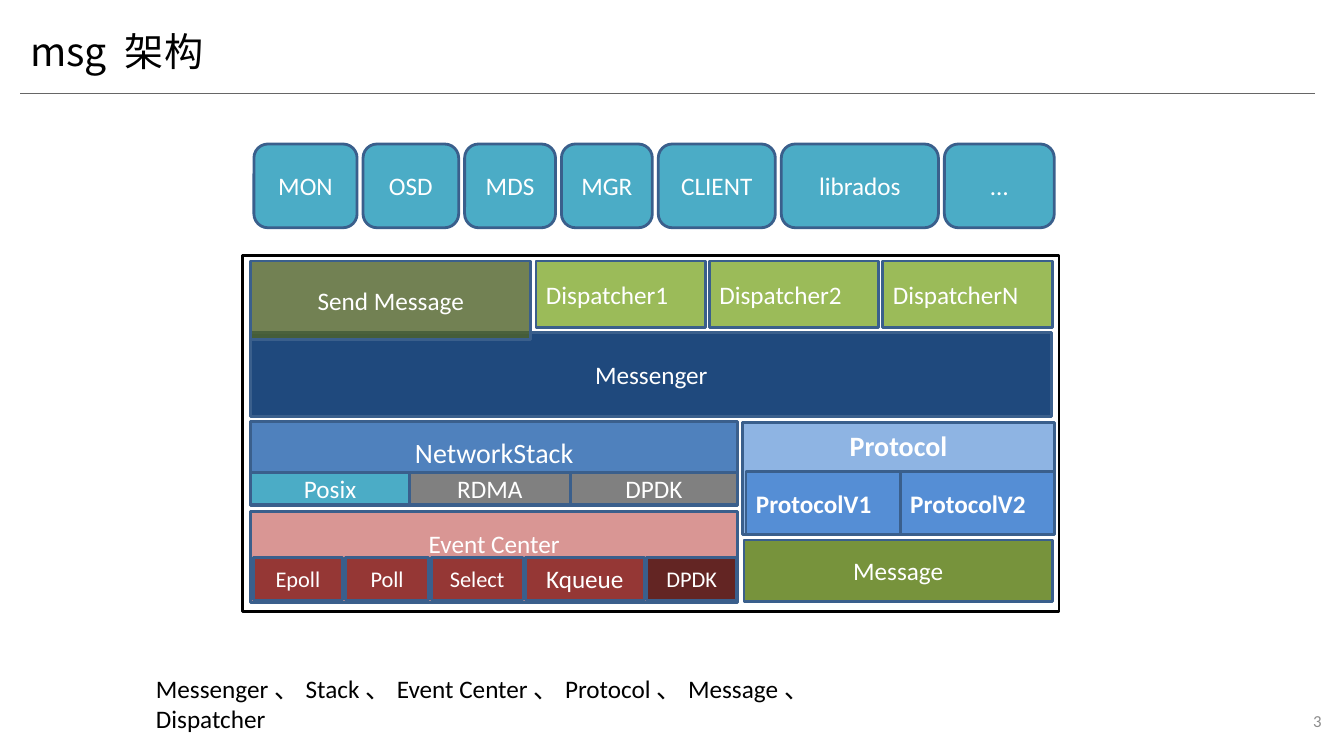
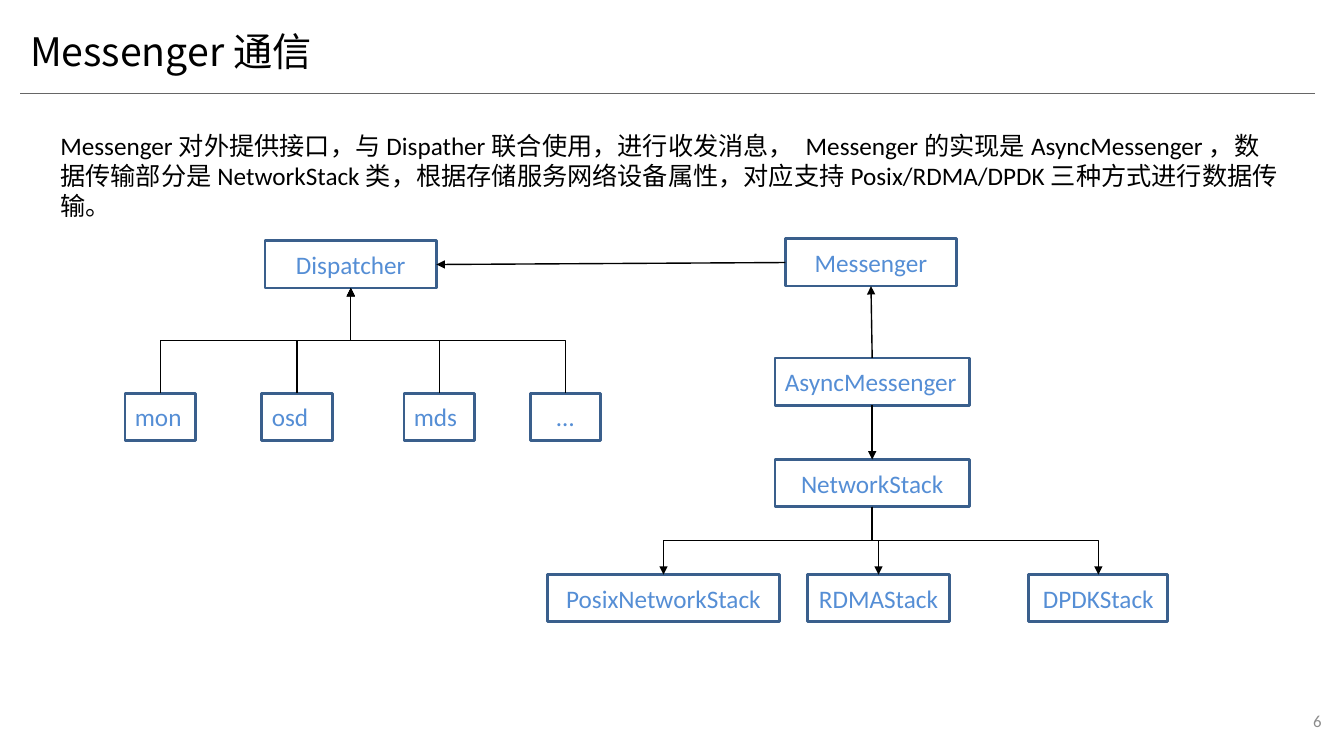
from lxml import etree
from pptx import Presentation
from pptx.dml import color
from pptx.enum import shapes, text
from pptx.oxml import ns
from pptx.util import Cm, Pt

BODY_FONT = "Calibri"
TITLE_FONT = "Noto Sans CJK SC"
BLACK, WHITE = "000000", "FFFFFF"
RULE, NUMBER = "666666", "8C8C8C"
OUTLINE, LABEL = "3A5F8C", "558ED5"
TEAL, GREEN, GRAY, RED = "4BACC6", "9BBB59", "808080", "953735"
LEFT, CENTER, RIGHT = text.PP_ALIGN.LEFT, text.PP_ALIGN.CENTER, text.PP_ALIGN.RIGHT
BOTTOM_SITE, TOP_SITE, LEFT_SITE, RIGHT_SITE = 2, 0, 1, 3
NODE_HEIGHT = 1.19


def rgb(value):
    return color.RGBColor.from_string(value)


def write(tf, content, size, font_color, align=LEFT, font=BODY_FONT, bold=False):
    tf.word_wrap = True
    p = tf.paragraphs[0]
    p.text = content
    p.alignment = align
    p.font.name = font
    p.font.size = Pt(size)
    p.font.bold = bold
    p.font.color.rgb = rgb(font_color)


def add_text(s, content, left, top, width, height, size=18, font_color=BLACK,
             align=LEFT, font=BODY_FONT, anchor=text.MSO_ANCHOR.TOP):
    tf = s.shapes.add_textbox(Cm(left), Cm(top), Cm(width), Cm(height)).text_frame
    tf.vertical_anchor = anchor
    write(tf, content, size, font_color, align, font)


def add_box(s, label, left, top, width, height, fill=None, line=OUTLINE, size=18,
            font_color=WHITE, align=CENTER, bold=False, foot=None, alpha=None,
            kind=shapes.MSO_SHAPE.RECTANGLE):
    sp = s.shapes.add_shape(kind, Cm(left), Cm(top), Cm(width), Cm(height))
    sp.shadow.inherit = False
    if fill:
        sp.fill.solid()
        sp.fill.fore_color.rgb = rgb(fill)
    else:
        sp.fill.background()
    if alpha:
        clr = sp._element.spPr.find(".//" + ns.qn("a:srgbClr"))
        etree.SubElement(clr, ns.qn("a:alpha")).set("val", str(alpha * 1000))
    sp.line.color.rgb = rgb(line)
    sp.line.width = Pt(2)
    if label:
        write(sp.text_frame, label, size, font_color, align, bold=bold)
    if foot:
        sp.text_frame.margin_bottom = Cm(foot)
    return sp


def add_row(s, left, top, height, gap, items, **style):
    for label, width, own in items:
        add_box(s, label, left, top, width, height, **{**style, **own})
        left += width + gap


def add_line(s, x1, y1, x2, y2, line, weight, kind=shapes.MSO_CONNECTOR.STRAIGHT):
    c = s.shapes.add_connector(kind, x1, y1, x2, y2)
    c.line.color.rgb = rgb(line)
    c.line.width = Pt(weight)
    etree.SubElement(c._element.spPr, ns.qn("a:effectLst"))
    return c


def add_arrow(s, start, start_site, end, end_site, kind=shapes.MSO_CONNECTOR.STRAIGHT):
    c = add_line(s, 0, 0, 0, 0, BLACK, 1, kind)
    c.begin_connect(start, start_site)
    c.end_connect(end, end_site)
    tail = etree.SubElement(c.line._get_or_add_ln(), ns.qn("a:tailEnd"))
    tail.set("type", "triangle")
    return c


def add_elbow(s, start, start_site, end, end_site):
    c = add_arrow(s, start, start_site, end, end_site, shapes.MSO_CONNECTOR.ELBOW)
    dx, dy = c.end_x - c.begin_x, c.end_y - c.begin_y
    mid_x, mid_y = (c.begin_x + c.end_x) // 2, (c.begin_y + c.end_y) // 2
    c.width, c.height = abs(dy), abs(dx)
    c.left, c.top = mid_x - abs(dy) // 2, mid_y - abs(dx) // 2
    xfrm = c._element.spPr.find(ns.qn("a:xfrm"))
    xfrm.set("rot", str((90 if dx * dy < 0 else 270) * 60000))
    xfrm.set("flipH", str(int(dx > 0)))
    xfrm.set("flipV", str(int(dy < 0)))


def add_slide(prs, title, number):
    s = prs.slides.add_slide(prs.slide_layouts[6])
    middle = text.MSO_ANCHOR.MIDDLE
    add_line(s, Cm(0.51), Cm(2.36), Cm(33.15), Cm(2.36), RULE, 0.75)
    add_text(s, number, 23.93, 17.65, 9.63, 1.02, 12, NUMBER, RIGHT, anchor=middle)
    add_text(s, title, 0.51, 0.53, 32.64, 1.5, 28, font=TITLE_FONT, anchor=middle)
    return s


def build_architecture(prs):
    s = add_slide(prs, "msg 架构", "3")
    clients = [("MON", 2.6), ("OSD", 2.41), ("MDS", 2.29), ("MGR", 2.29),
               ("CLIENT", 2.95), ("librados", 3.96), ("…", 2.77)]
    add_row(s, 6.4, 3.63, 2.11, 0.15, [(name, width, {}) for name, width in clients],
            fill=TEAL, kind=shapes.MSO_SHAPE.ROUNDED_RECTANGLE)
    add_box(s, "", 6.12, 6.43, 20.57, 8.99, line=BLACK)

    add_box(s, "Messenger", 6.32, 8.38, 20.19, 2.11, "1F497D")
    add_row(s, 13.51, 6.58, 1.68, 0.1,
            [("Dispatcher" + suffix, 4.27, {}) for suffix in "12N"],
            fill=GREEN, align=LEFT)
    add_box(s, "Send Message", 6.32, 6.58, 7.06, 1.98, "4F6228", alpha=80)

    add_box(s, "NetworkStack", 6.32, 10.62, 12.27, 2.11, "4F81BD", size=20, foot=0.69)
    add_row(s, 6.32, 11.91, 0.8, 0,
            [("Posix", 4, {"fill": TEAL}), ("RDMA", 4.05, {}), ("DPDK", 4.22, {})],
            fill=GRAY)

    add_box(s, "Protocol", 18.72, 10.64, 7.85, 2.84, "8EB4E3", size=20, bold=True, foot=1.78)
    add_row(s, 18.8, 11.89, 1.57, 0,
            [("Protocol" + version, 3.89, {}) for version in ("V1", "V2")],
            fill="558ED5", align=LEFT, bold=True)

    add_box(s, "Event Center", 6.32, 12.88, 12.27, 2.31, "D99694", foot=0.83)
    add_row(s, 6.38, 14.05, 1.07, 0.06,
            [("Epoll", 2.26, {}), ("Poll", 2.11, {}), ("Select", 2.31, {}),
             ("Kqueue", 3, {"size": 18}), ("DPDK", 2.26, {"fill": "632523"})],
            fill=RED, size=16)
    add_box(s, "Message", 18.75, 13.61, 7.77, 1.55, "77933C")
    add_text(s, "Messenger、Stack、Event Center、Protocol、Message、Dispatcher",
             3.68, 16.84, 18.57, 1.02)


def build_communication(prs):
    s = add_slide(prs, "Messenger通信", "6")
    add_text(s, "Messenger对外提供接口，与Dispather联合使用，进行收发消息， "
                "Messenger的实现是AsyncMessenger，数据传输部分是NetworkStack类，"
                "根据存储服务网络设备属性，对应支持Posix/RDMA/DPDK三种方式进行数据传输。",
             1.27, 3.15, 31.29, 1.8)

    def node(label, left, top, width, align=CENTER):
        return add_box(s, label, left, top, width, NODE_HEIGHT,
                       font_color=LABEL, align=align)

    dispatcher = node("Dispatcher", 6.68, 6.07, 4.32)
    messenger = node("Messenger", 19.79, 6.02, 4.32)
    async_messenger = node("AsyncMessenger", 19.53, 9.02, 4.9, LEFT)
    network_stack = node("NetworkStack", 19.53, 11.58, 4.9)
    add_arrow(s, messenger, LEFT_SITE, dispatcher, RIGHT_SITE)
    add_arrow(s, async_messenger, TOP_SITE, messenger, BOTTOM_SITE)
    add_arrow(s, async_messenger, BOTTOM_SITE, network_stack, TOP_SITE)

    for label, left, align in [("mon", 3.15, LEFT), ("osd", 6.6, LEFT),
                               ("mds", 10.18, LEFT), ("…", 13.36, CENTER)]:
        daemon = node(label, left, 9.91, 1.78, align)
        add_elbow(s, daemon, TOP_SITE, dispatcher, BOTTOM_SITE)

    for label, left, width in [("PosixNetworkStack", 13.8, 5.84),
                               ("RDMAStack", 20.35, 3.58), ("DPDKStack", 25.93, 3.5)]:
        stack = node(label, left, 14.48, width)
        add_elbow(s, network_stack, BOTTOM_SITE, stack, TOP_SITE)


def main():
    prs = Presentation()
    prs.slide_width, prs.slide_height = Cm(33.87), Cm(19.05)
    build_architecture(prs)
    build_communication(prs)
    prs.save("out.pptx")


if __name__ == "__main__":
    main()
